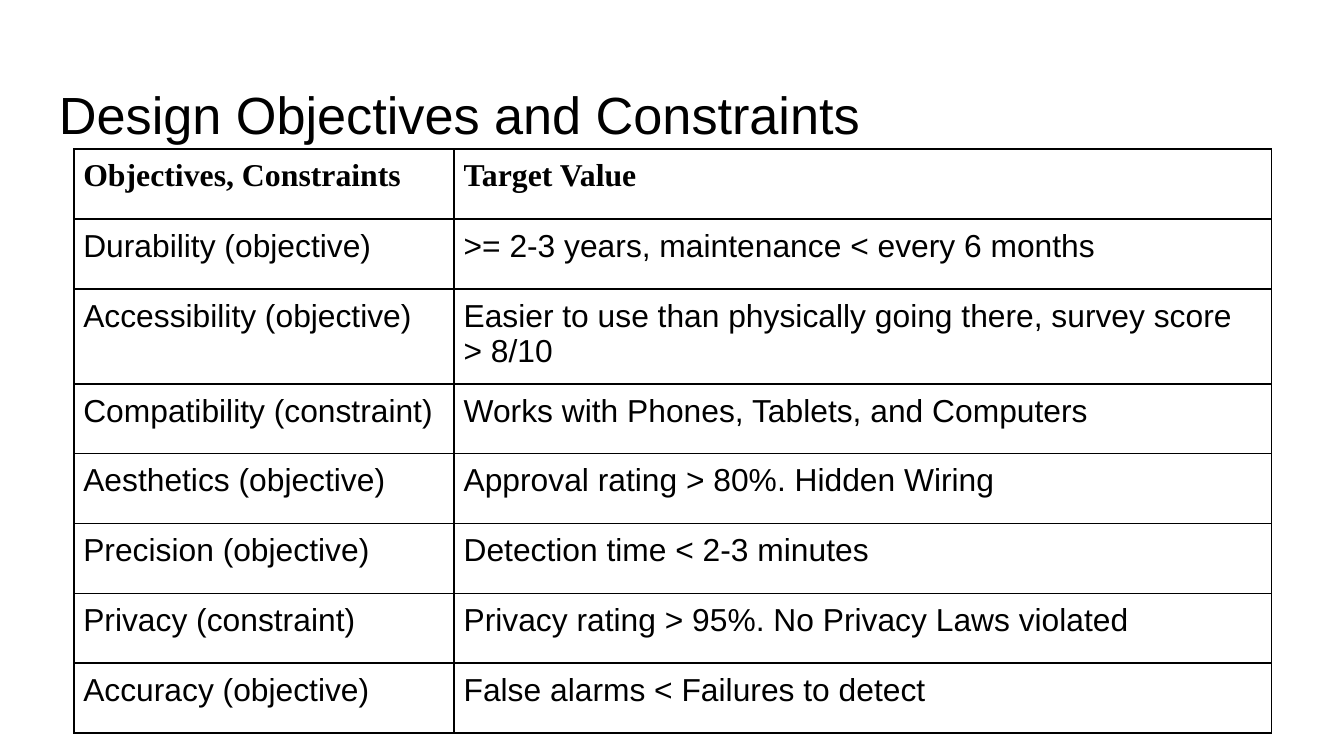
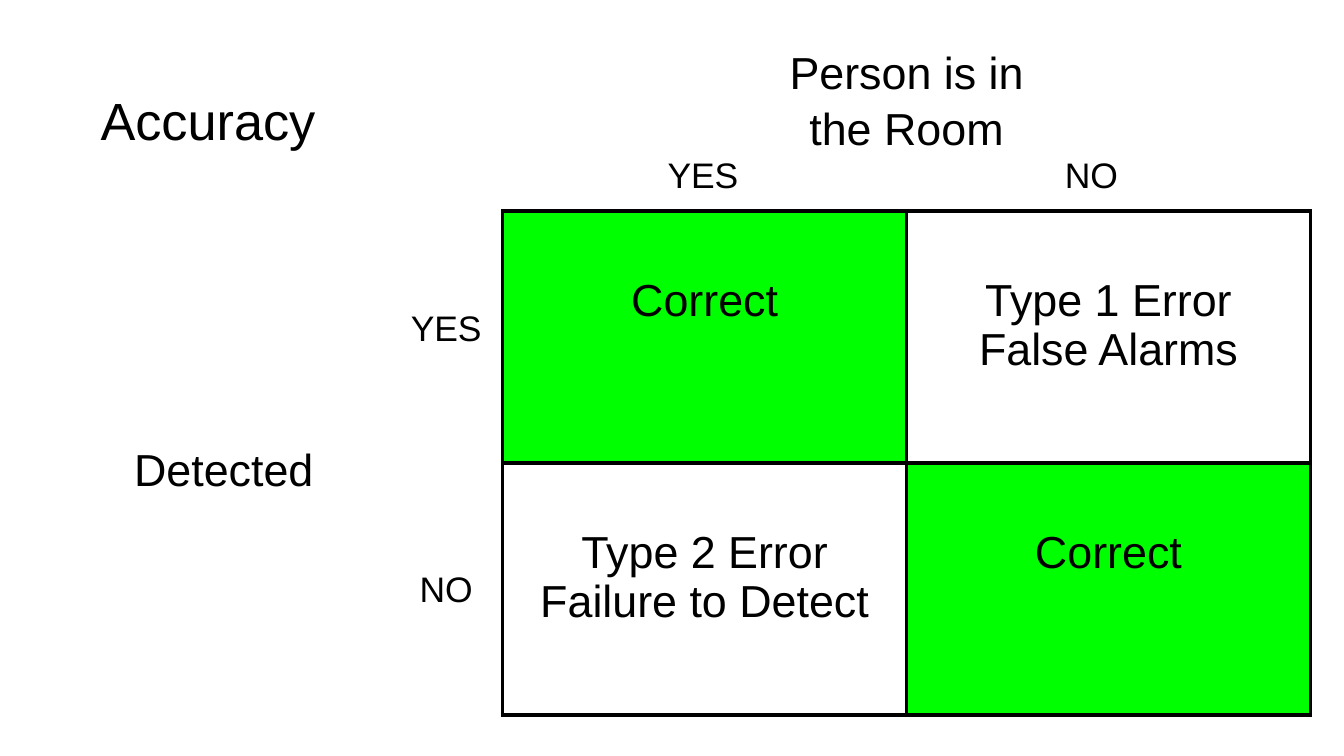
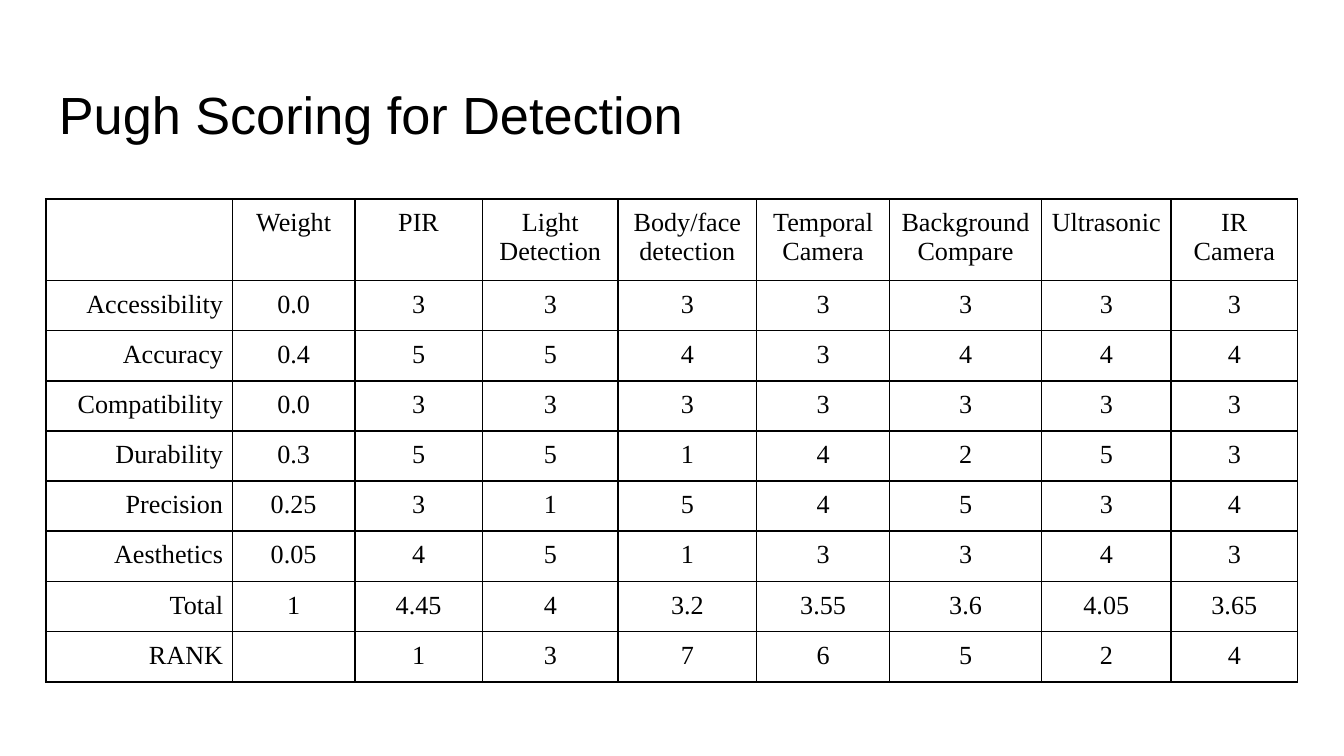
"""Build three slides on the design objectives, accuracy and scoring of a room detector."""
from lxml import etree
from pptx import Presentation
from pptx import util as u
from pptx.dml.color import RGBColor
from pptx.enum import text
from pptx.oxml import ns

COLORS = {"ink": "000000", "paper": "FFFFFF", "correct": "00FF00"}
SANS, SERIF = "Arial", "Times New Roman"
LEFT, CENTER, RIGHT = text.PP_ALIGN.LEFT, text.PP_ALIGN.CENTER, text.PP_ALIGN.RIGHT
TITLE_SIZE = 28
TITLE_AREA = (3.4, 8.71, 93.2, 11.2)

presentation = Presentation()
presentation.slide_width, presentation.slide_height = u.Inches(10), u.Inches(5.625)
column = presentation.slide_width / 100
row = presentation.slide_height / 100


def write(frame, content, size, font=SANS, align=LEFT, bold=False, spacing=1.0):
    frame.word_wrap = True
    for index, line in enumerate(content.split("\n")):
        paragraph = frame.add_paragraph() if index else frame.paragraphs[0]
        paragraph.alignment = align
        paragraph.line_spacing = spacing
        if not line:
            etree.SubElement(paragraph._p, ns.qn("a:endParaRPr"), sz=str(size * 100))
            continue
        run = paragraph.add_run()
        run.text = line
        run.font.size, run.font.name, run.font.bold = u.Pt(size), font, bold
        run.font.color.rgb = RGBColor.from_string(COLORS["ink"])


def add_grid(slide, left, top, widths, heights, border, margin):
    frame = slide.shapes.add_table(
        len(heights), len(widths), int(left * column), int(top * row),
        int(sum(widths) * column), int(sum(heights) * row))
    table = frame.table
    table.first_row = table.horz_banding = False
    for table_column, width in zip(table.columns, widths):
        table_column.width = int(width * column)
    for table_row, height in zip(table.rows, heights):
        table_row.height = int(height * row)
    for cell in table.iter_cells():
        cell.margin_left = cell.margin_right = u.Inches(margin)
        cell.margin_top = cell.margin_bottom = u.Inches(margin)
        properties = cell._tc.get_or_add_tcPr()
        for side in ("a:lnL", "a:lnR", "a:lnT", "a:lnB"):
            line = etree.SubElement(properties, ns.qn(side), w=str(u.Pt(border)))
            fill = etree.SubElement(line, ns.qn("a:solidFill"))
            etree.SubElement(fill, ns.qn("a:srgbClr"), val=COLORS["ink"])
        cell.fill.background()
    return table


slides = []
for _ in range(3):
    slide = presentation.slides.add_slide(presentation.slide_layouts[6])
    slide.background.fill.solid()
    slide.background.fill.fore_color.rgb = RGBColor.from_string(COLORS["paper"])
    slides.append(slide)
objectives_slide, accuracy_slide, scoring_slide = slides

labels = [
    (objectives_slide, "Design Objectives and Constraints", TITLE_AREA, TITLE_SIZE, LEFT),
    (accuracy_slide, "YES", (48.2, 18.13, 8.2, 9.78), 19, CENTER),
    (accuracy_slide, "NO", (77.1, 18.13, 8.2, 9.78), 19, CENTER),
    (accuracy_slide, "Detected", (4.2, 56.36, 24.9, 9.78), 24, CENTER),
    (accuracy_slide, "YES", (29.1, 38.4, 8.2, 9.78), 19, CENTER),
    (accuracy_slide, "NO", (29.1, 72.89, 8.2, 9.78), 19, CENTER),
    (accuracy_slide, "Person is in the Room", (55, 3.73, 24.9, 16.53), 24, CENTER),
    (accuracy_slide, "Accuracy", (6.5, 9.42, 27.5, 14.93), TITLE_SIZE, LEFT),
    (scoring_slide, "Pugh Scoring for Detection", TITLE_AREA, TITLE_SIZE, LEFT),
]
for slide, content, (left, top, width, height), size, align in labels:
    frame = slide.shapes.add_textbox(
        int(left * column), int(top * row), int(width * column), int(height * row)).text_frame
    frame.margin_left = frame.margin_right = u.Inches(0.1)
    frame.margin_top = frame.margin_bottom = u.Inches(0.1)
    write(frame, content, size, align=align, spacing=1.05)

objectives = [
    ("Objectives, Constraints", "Target Value"),
    ("Durability (objective)", ">= 2-3 years, maintenance < every 6 months"),
    ("Accessibility (objective)",
     "Easier to use than physically going there, survey score\n> 8/10"),
    ("Compatibility (constraint)", "Works with Phones, Tablets, and Computers"),
    ("Aesthetics (objective)", "Approval rating > 80%. Hidden Wiring"),
    ("Precision (objective)", "Detection time < 2-3 minutes"),
    ("Privacy (constraint)", "Privacy rating > 95%. No Privacy Laws violated"),
    ("Accuracy (objective)", "False alarms < Failures to detect"),
]
heights = [12.27 if "\n" in target else 9.24 for _, target in objectives]
table = add_grid(objectives_slide, 5.5, 19.73, [28.3, 60.8], heights, 1, 0.07)
for row_index, values in enumerate(objectives):
    header = row_index == 0
    for column_index, value in enumerate(values):
        write(table.cell(row_index, column_index).text_frame, value, 17,
              font=SERIF if header else SANS, bold=header)

outcomes = [
    ("Correct", "Type 1 Error\nFalse Alarms"),
    ("Type 2 Error\nFailure to Detect", "Correct"),
]
table = add_grid(accuracy_slide, 37.4, 27.91, [30.05] * 2, [33.33] * 2, 2.25, 0.1)
for row_index, values in enumerate(outcomes):
    for column_index, value in enumerate(values):
        cell = table.cell(row_index, column_index)
        cell.margin_top = u.Inches(0.48)
        write(cell.text_frame, value, 24, align=CENTER)
        if row_index == column_index:
            cell.fill.solid()
            cell.fill.fore_color.rgb = RGBColor.from_string(COLORS["correct"])

scores = [
    ("", "Weight", "PIR", "Light Detection", "Body/face detection", "Temporal Camera",
     "Background Compare", "Ultrasonic", "IR Camera"),
    ("Accessibility", "0.0", "3", "3", "3", "3", "3", "3", "3"),
    ("Accuracy", "0.4", "5", "5", "4", "3", "4", "4", "4"),
    ("Compatibility", "0.0", "3", "3", "3", "3", "3", "3", "3"),
    ("Durability", "0.3", "5", "5", "1", "4", "2", "5", "3"),
    ("Precision", "0.25", "3", "1", "5", "4", "5", "3", "4"),
    ("Aesthetics", "0.05", "4", "5", "1", "3", "3", "4", "3"),
    ("Total", "1", "4.45", "4", "3.2", "3.55", "3.6", "4.05", "3.65"),
    ("RANK", "", "1", "3", "7", "6", "5", "2", "4"),
]
widths = [13.9, 9.1, 9.5, 10.1, 10.3, 9.9, 11.3, 9.65, 9.4]
table = add_grid(scoring_slide, 3.4, 26.31, widths, [10.13] + [6.3] * 7 + [6.58], 1, 0.07)
for row_index, values in enumerate(scores):
    for column_index, value in enumerate(values):
        write(table.cell(row_index, column_index).text_frame, value, 14, font=SERIF,
              align=CENTER if column_index else RIGHT)

presentation.save("out.pptx")
